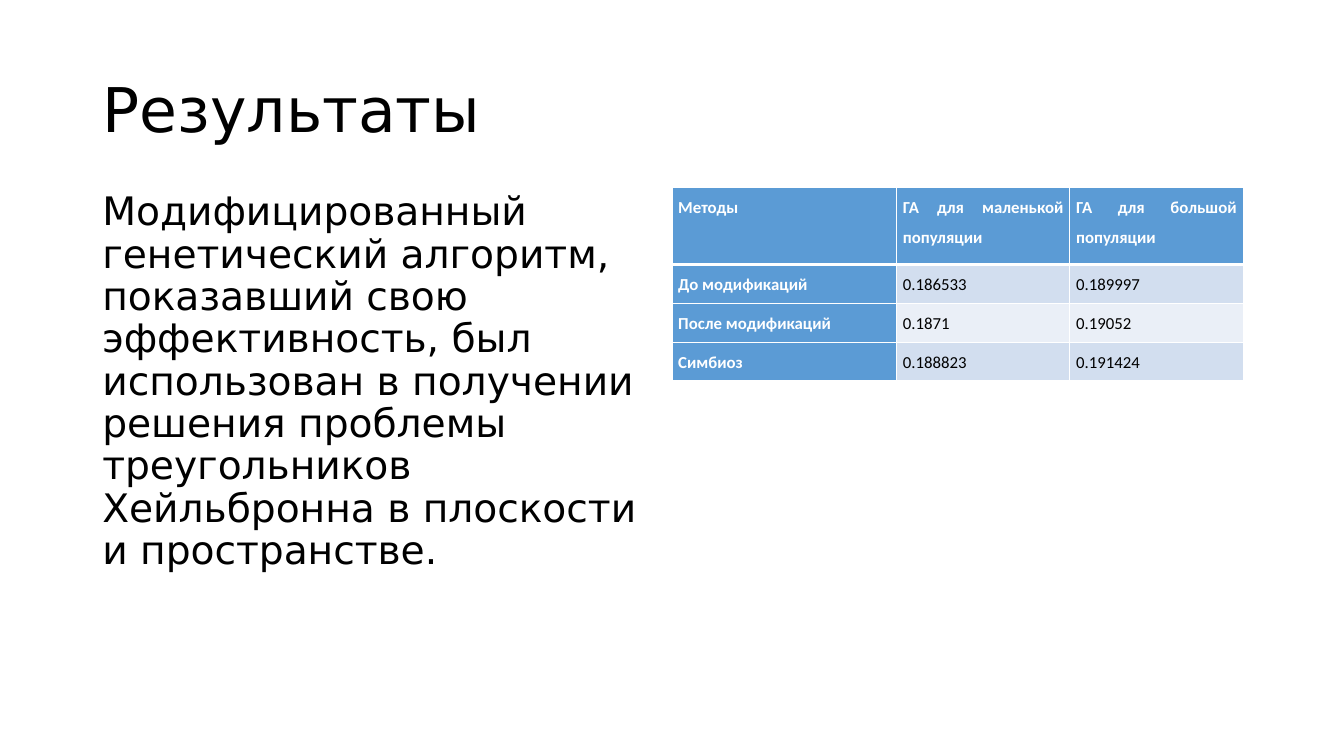
from lxml import etree
from pptx import Presentation
from pptx.dml.color import RGBColor
from pptx.enum.text import MSO_ANCHOR, MSO_AUTO_SIZE, PP_ALIGN
from pptx.oxml.ns import qn
from pptx.util import Pt

LEFT, JUST = PP_ALIGN.LEFT, PP_ALIGN.JUSTIFY
TOP, MIDDLE = MSO_ANCHOR.TOP, MSO_ANCHOR.MIDDLE
NO_FIT = MSO_AUTO_SIZE.NONE
PX = 9525
COLORS = {
    "text": "000000",
    "white": "FFFFFF",
    "head": "5B9BD5",
    "odd": "D2DEEF",
    "even": "EAEFF7",
}
RESULTS = [
    ["Методы", "ГА для маленькой популяции", "ГА для большой популяции"],
    ["До модификаций", "0.186533", "0.189997"],
    ["После модификаций", "0.1871", "0.19052"],
    ["Симбиоз", "0.188823", "0.191424"],
]
BODY = (
    "Модифицированный генетический алгоритм, показавший свою эффективность, "
    "был использован в получении решения проблемы треугольников Хейльбронна "
    "в плоскости и пространстве."
)


def px(*sizes):
    return [size * PX for size in sizes]


def write(frame, text, font="DejaVu Sans", size=28, color="text", bold=False,
          align=LEFT, lines=0.9, before=0):
    frame.word_wrap = True
    para = frame.paragraphs[0]
    para.alignment = align
    para.line_spacing = lines
    para.space_before = Pt(before)
    run = para.add_run()
    run.text = text
    run.font.name = font
    run.font.size = Pt(size)
    run.font.bold = bold
    run.font.color.rgb = RGBColor.from_string(COLORS[color])


def edge(cell, side, width):
    props = cell._tc.get_or_add_tcPr()
    line = etree.SubElement(props, qn(f"a:ln{side}"), w=str(Pt(width)))
    fill = etree.SubElement(line, qn("a:solidFill"))
    etree.SubElement(fill, qn("a:srgbClr"), val=COLORS["white"])


class Deck:
    def __init__(self, wide, high):
        self.show = Presentation()
        self.show.slide_width, self.show.slide_height = px(wide, high)
        self.slide = self.show.slides.add_slide(self.show.slide_layouts[5])

    def title(self, text, *box):
        shape = self.slide.shapes.title
        shape.left, shape.top, shape.width, shape.height = px(*box)
        frame = shape.text_frame
        frame.auto_size = NO_FIT
        frame.vertical_anchor = MIDDLE
        write(frame, text, size=44)

    def text(self, text, *box):
        frame = self.slide.shapes.add_textbox(*px(*box)).text_frame
        frame.vertical_anchor = TOP
        write(frame, text, before=10)

    def table(self, data, left, top, widths, heights):
        box = px(left, top, sum(widths), sum(heights))
        table = self.slide.shapes.add_table(len(data), len(widths), *box).table
        table.first_col = True
        for col, width in zip(table.columns, px(*widths)):
            col.width = width
        for row, height in zip(table.rows, px(*heights)):
            row.height = height
        for r, words in enumerate(data):
            for c, word in enumerate(words):
                self.cell(table.cell(r, c), word, r, c)

    def cell(self, cell, word, r, c):
        head = r == 0 or c == 0
        cell.margin_left = cell.margin_right = 6 * PX
        cell.margin_top = cell.margin_bottom = 0
        cell.vertical_anchor = TOP
        for side in "LRTB":
            thick = (r, side) in ((0, "B"), (1, "T"))
            edge(cell, side, 3 if thick else 1)
        shade = "head" if head else "odd" if r % 2 else "even"
        cell.fill.solid()
        cell.fill.fore_color.rgb = RGBColor.from_string(COLORS[shade])
        write(cell.text_frame, word, font="Calibri", size=12, bold=head,
              color="white" if head else "text", align=JUST, lines=1.5)


def main():
    deck = Deck(1280, 720)
    deck.title("Результаты", 88, 38, 1104, 139)
    deck.table(RESULTS, 640, 178, [214, 165, 165], [74, 37, 37, 37])
    deck.text(BODY, 88, 178, 544, 457)
    deck.show.save("out.pptx")


if __name__ == "__main__":
    main()
